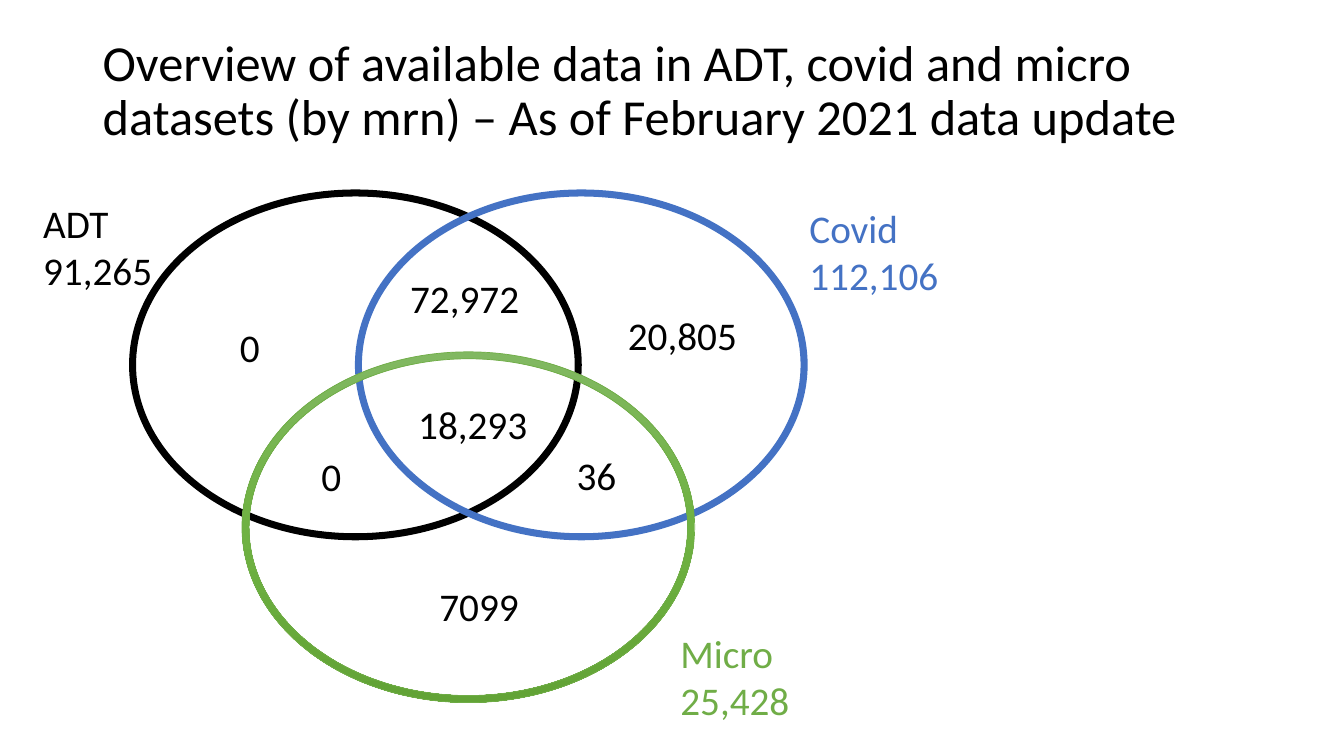
from copy import deepcopy

from pptx import Presentation
from pptx.dml.color import RGBColor
from pptx.enum.shapes import MSO_SHAPE
from pptx.enum.text import MSO_ANCHOR
from pptx.oxml.ns import qn
from pptx.util import Pt

PX = 9144  # 100 px to the inch
DONUT = MSO_SHAPE.DONUT
TOP, MIDDLE = MSO_ANCHOR.TOP, MSO_ANCHOR.MIDDLE
HUES = {
    "black": "000000", "blue": "4472C4", "green": "70AD47",
    "light": "81B861", "mid": "6FB242", "dark": "62A336",
}


def color(name):
    return RGBColor.from_string(HUES[name])


def write(text, x, y, w, h, size=28, hue="black", anchor=TOP, space=1.0):
    box = slide.shapes.add_textbox(x * PX, y * PX, w * PX, h * PX)
    frame = box.text_frame
    frame.word_wrap = True
    frame.vertical_anchor = anchor
    frame.text = text
    for para in frame.paragraphs:
        para.line_spacing = space
        para.font.name = "Calibri"
        para.font.size = Pt(size)
        para.font.color.rgb = color(hue)


deck = Presentation()
deck.slide_width, deck.slide_height = 1333 * PX, 750 * PX
slide = deck.slides.add_slide(deck.slide_layouts[6])

# Title
write("Overview of available data in ADT, covid and micro datasets (by mrn) "
      "– As of February 2021 data update",
      92, 40, 1100, 103, size=36, anchor=MIDDLE, space=0.9)

# Venn rings
for x, y, hue in [(128, 188, "black"), (352, 188, "blue"), (240, 349, "green")]:
    ring = slide.shapes.add_shape(DONUT, x * PX, y * PX, 449 * PX, 348 * PX)
    ring.adjustments[0] = 0.02
    ring.shadow.inherit = False
    ring.fill.solid()
    ring.fill.fore_color.rgb = color(hue)
    ring.line.fill.background()

# Green ring: three-stop gradient and thin edge
ring.fill.gradient()
ring.fill.gradient_angle = 270
stops = ring._element.spPr.find(qn("a:gradFill")).find(qn("a:gsLst"))
stops.insert(1, deepcopy(stops[0]))
for stop, place, hue in zip(ring.fill.gradient_stops, (0, 0.5, 1),
                            ("light", "mid", "dark")):
    stop.position = place
    stop.color.rgb = color(hue)
ring.line.color.rgb = color("green")
ring.line.width = Pt(0.5)

# Set names with totals
for text, x, y, w, hue in [
    ("ADT\n91,265", 33, 193, 167, "black"),
    ("Covid\n112,106", 793, 198, 173, "blue"),
    ("Micro\n25,428", 665, 619, 136, "green"),
]:
    write(text, x, y, w, 104, hue=hue)

# Region counts
for text, x, y in [
    ("18,293", 405, 392), ("72,972", 397, 267), ("36", 562, 443),
    ("0", 309, 444), ("0", 228, 316), ("20,805", 613, 304),
    ("7099", 426, 573),
]:
    write(text, x, y, 80 if text == "36" else 136, 57)

deck.save("out.pptx")
